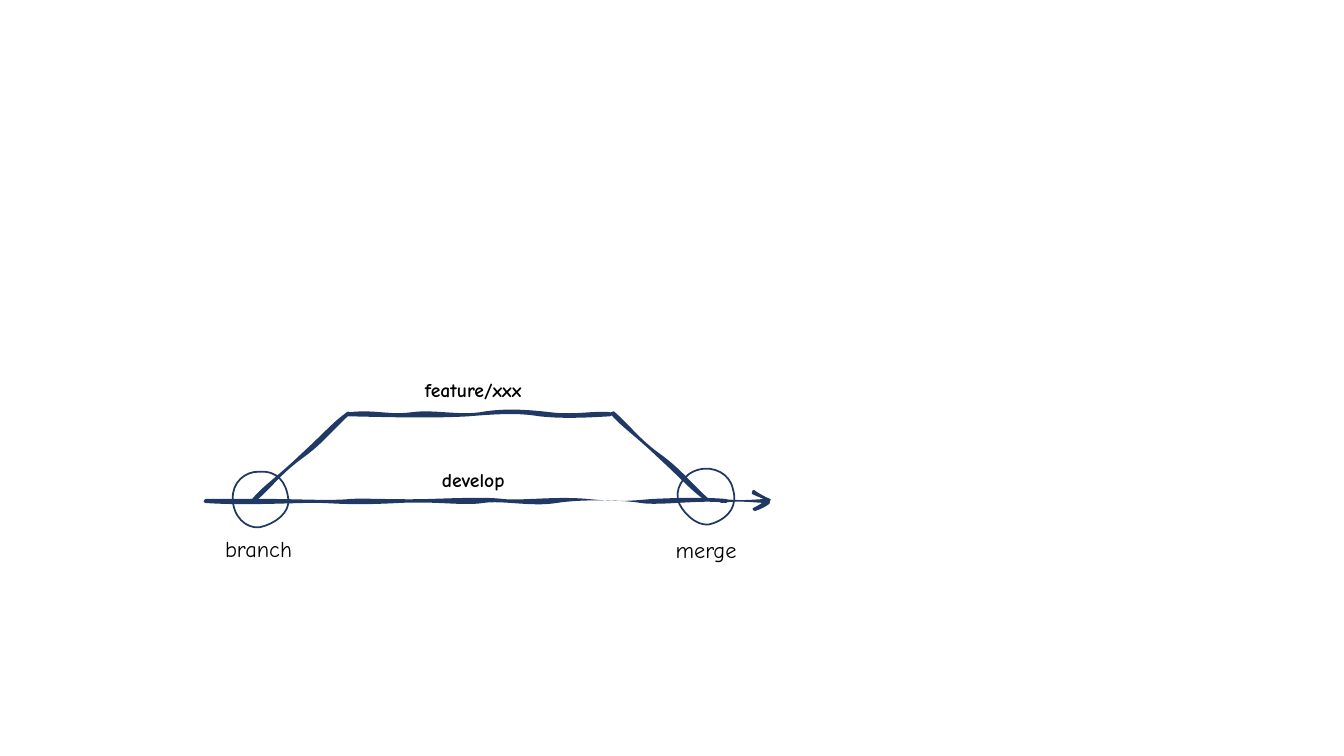
import math
import pptx
import pptx.util
import pptx.dml.color
import pptx.enum.text
import pptx.oxml.ns
import lxml.etree

UNIT = 9144  # one grid step: a hundredth of an inch
WIDTH, HEIGHT = 12192000, 750 * UNIT
FONT = "Comic Neue"
COLORS = {"ink": "203864", "text": "000000", "page": "FFFFFF"}

# Each outline is a start point, then three points (two handles, one end) per curve.
SHAFT = [
    (714, 497), (714, 496), (715, 495), (716, 495),
    (736, 497), (742, 496), (760, 495),
    (761, 495), (761, 496), (761, 497),
    (761, 498), (761, 499), (760, 499),
    (751, 499), (732, 496), (716, 499),
    (715, 499), (714, 498), (714, 497)]
LOWER = [
    (763, 497), (763, 496), (762, 496), (761, 496),
    (755, 499), (754, 501), (747, 504),
    (747, 504), (746, 505), (747, 506),
    (748, 507), (748, 507), (749, 507),
    (755, 505), (759, 503), (763, 500),
    (764, 499), (764, 499), (763, 497)]
UPPER = [
    (746, 488), (746, 487), (747, 486), (748, 486),
    (755, 491), (759, 493), (764, 495),
    (765, 495), (765, 496), (764, 497),
    (764, 498), (763, 499), (762, 498),
    (757, 494), (754, 494), (746, 490),
    (745, 489), (745, 489), (746, 488)]
DEVELOP = [
    (722, 497), (722, 498), (721, 499), (720, 499),
    (700, 495), (654, 502), (636, 499),
    (619, 496), (577, 495), (552, 499),
    (527, 503), (498, 496), (479, 499),
    (459, 502), (434, 497), (395, 499),
    (355, 501), (342, 500), (321, 499),
    (300, 498), (249, 502), (204, 499),
    (203, 499), (202, 498), (202, 497),
    (203, 496), (203, 495), (204, 495),
    (234, 495), (243, 495), (268, 495),
    (292, 495), (330, 497), (347, 495),
    (363, 494), (394, 496), (426, 495),
    (457, 494), (482, 493), (499, 495),
    (516, 497), (552, 492), (583, 495),
    (614, 498), (624, 497), (647, 495),
    (669, 494), (697, 493), (720, 495),
    (721, 495), (722, 496), (722, 497)]
FEATURE = [
    (607, 411), (607, 412), (607, 413), (605, 413),
    (573, 415), (553, 415), (535, 413),
    (517, 410), (500, 410), (465, 413),
    (431, 415), (389, 414), (346, 413),
    (345, 413), (344, 412), (344, 411),
    (344, 410), (345, 409), (346, 409),
    (372, 406), (386, 412), (408, 409),
    (430, 406), (453, 412), (476, 409),
    (498, 405), (521, 406), (546, 409),
    (570, 412), (592, 407), (605, 409),
    (606, 409), (607, 410), (607, 411)]
RISE = [
    (347, 409), (348, 409), (348, 411), (347, 411),
    (324, 433), (319, 441), (298, 456),
    (278, 471), (270, 483), (254, 497),
    (253, 497), (252, 497), (251, 496),
    (250, 495), (250, 494), (251, 494),
    (261, 482), (275, 473), (298, 451),
    (321, 430), (330, 419), (344, 409),
    (345, 408), (346, 408), (347, 409)]
# The way down is the way up, moved right and turned upside down.
FALL = [(x + 355, 905 - y) for x, y in RISE]
BRANCH = [
    (231, 495), (230, 479), (243, 467), (258, 468),
    (275, 467), (284, 478), (286, 495),
    (288, 509), (272, 520), (258, 523),
    (244, 525), (231, 512), (231, 495)]
MERGE = [
    (693, 466), (708, 462), (724, 470), (727, 485),
    (732, 501), (724, 513), (708, 519),
    (695, 525), (680, 512), (674, 500),
    (668, 487), (677, 470), (693, 466)]
ARROW = [(SHAFT, 0), (LOWER, 152), (UPPER, 28)]
LINES = [(DEVELOP, 180), (FEATURE, 180), (RISE, 137.5), (FALL, 222.5)]
RINGS = [(BRANCH, 0), (MERGE, 74.5)]
LABELS = [  # left, top, height, words, size, bold
    (131, 525.4, 37, "branch", 16, False),
    (344, 369.4, 34, "feature/xxx", 14, True),
    (344, 459, 34, "develop", 14, True),
    (575, 526.4, 37, "merge", 16, False)]
LABEL_WIDTH = 251


def color(name):
    return pptx.dml.color.RGBColor.from_string(COLORS[name])


def curve(shape, spots):
    """Turn the straight sides of a freeform into cubic curves."""
    qn = pptx.oxml.ns.qn
    sides = list(shape.element.iter(qn("a:lnTo")))
    for i, side in enumerate(sides):
        side.tag = qn("a:cubicBezTo")
        end = side[0]
        for spot in spots[3 * i + 1:3 * i + 3]:
            handle = lxml.etree.Element(qn("a:pt"))
            handle.set("x", str(round(spot.real) - shape.left))
            handle.set("y", str(round(spot.imag) - shape.top))
            end.addprevious(handle)


def outline(shapes, points, angle):
    """Draw the curves level, then turn the shape by its angle."""
    spots = [complex(x, y) * UNIT for x, y in points]
    turn = complex(math.cos(math.radians(angle)), math.sin(math.radians(angle)))
    pivot = sum(spots) / len(spots)
    flat = [(spot - pivot) / turn + pivot for spot in spots]
    ends = [(round(spot.real), round(spot.imag)) for spot in flat[::3]]
    pen = shapes.build_freeform(*ends[0], scale=1.0)
    pen.add_line_segments(ends[1:], close=True)
    shape = pen.convert_to_shape()
    curve(shape, flat)
    mid = complex(shape.left + shape.width / 2, shape.top + shape.height / 2)
    move = (mid - pivot) * turn + pivot - mid
    shape.left += round(move.real)
    shape.top += round(move.imag)
    shape.rotation = angle
    shape.shadow.inherit = False
    return shape


def stroke(shapes, points, angle):
    shape = outline(shapes, points, angle)
    shape.fill.solid()
    shape.fill.fore_color.rgb = color("ink")
    shape.line.fill.background()


def ring(shapes, points, angle):
    shape = outline(shapes, points, angle)
    shape.fill.background()
    shape.line.color.rgb = color("ink")
    shape.line.width = pptx.util.Pt(1.25)


def label(shapes, left, top, height, words, size, bold):
    box = shapes.add_textbox(*(round(n * UNIT) for n in (left, top, LABEL_WIDTH, height)))
    frame = box.text_frame
    frame.word_wrap = True
    frame.auto_size = pptx.enum.text.MSO_AUTO_SIZE.SHAPE_TO_FIT_TEXT
    frame.vertical_anchor = pptx.enum.text.MSO_ANCHOR.MIDDLE
    para = frame.paragraphs[0]
    para.alignment = pptx.enum.text.PP_ALIGN.CENTER
    run = para.add_run()
    run.text = words
    run.font.name = FONT
    run.font.size = pptx.util.Pt(size)
    run.font.bold = bold
    run.font.color.rgb = color("text")


def main():
    deck = pptx.Presentation()
    deck.slide_width, deck.slide_height = WIDTH, HEIGHT
    slide = deck.slides.add_slide(deck.slide_layouts[6])
    slide.background.fill.solid()
    slide.background.fill.fore_color.rgb = color("page")
    shapes = slide.shapes
    arrow = shapes.add_group_shape()
    for part in ARROW:
        stroke(arrow.shapes, *part)
    for part in LINES:
        stroke(shapes, *part)
    for row in LABELS:
        label(shapes, *row)
    for part in RINGS:
        ring(shapes, *part)
    deck.save("out.pptx")


if __name__ == "__main__":
    main()
